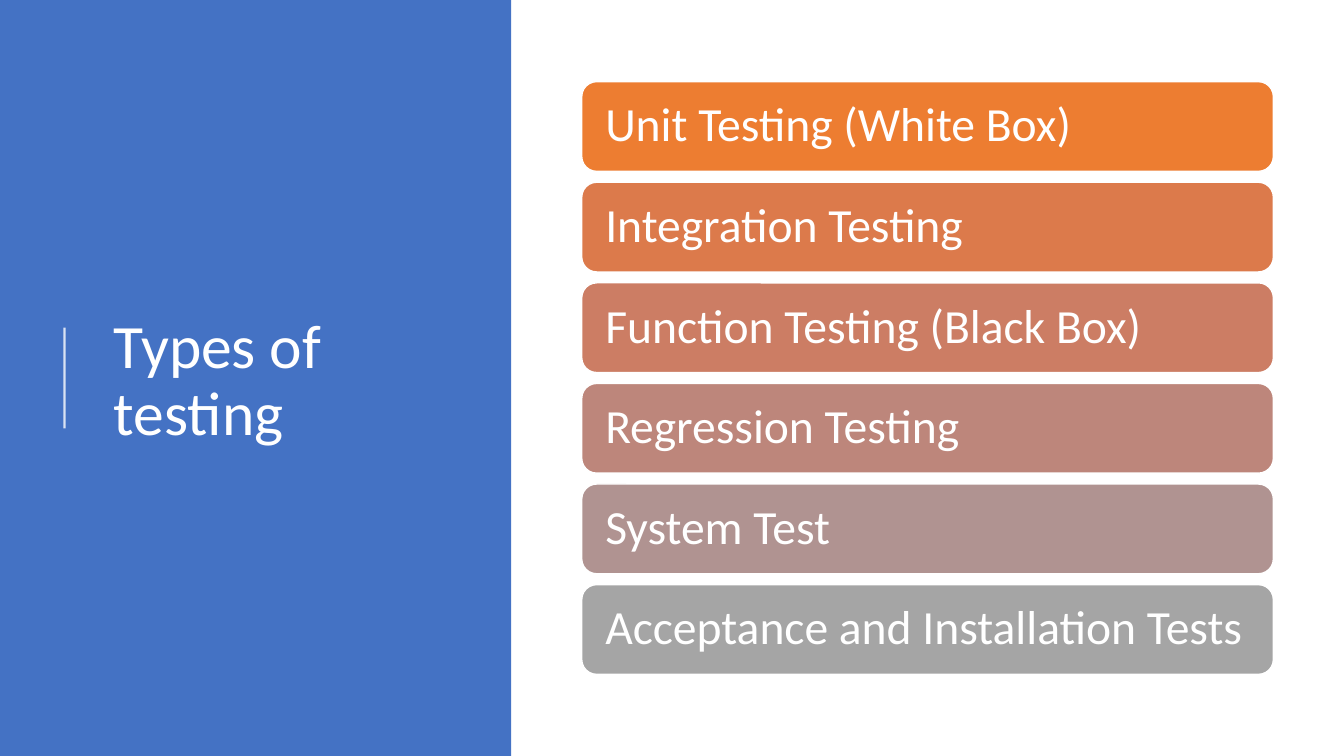
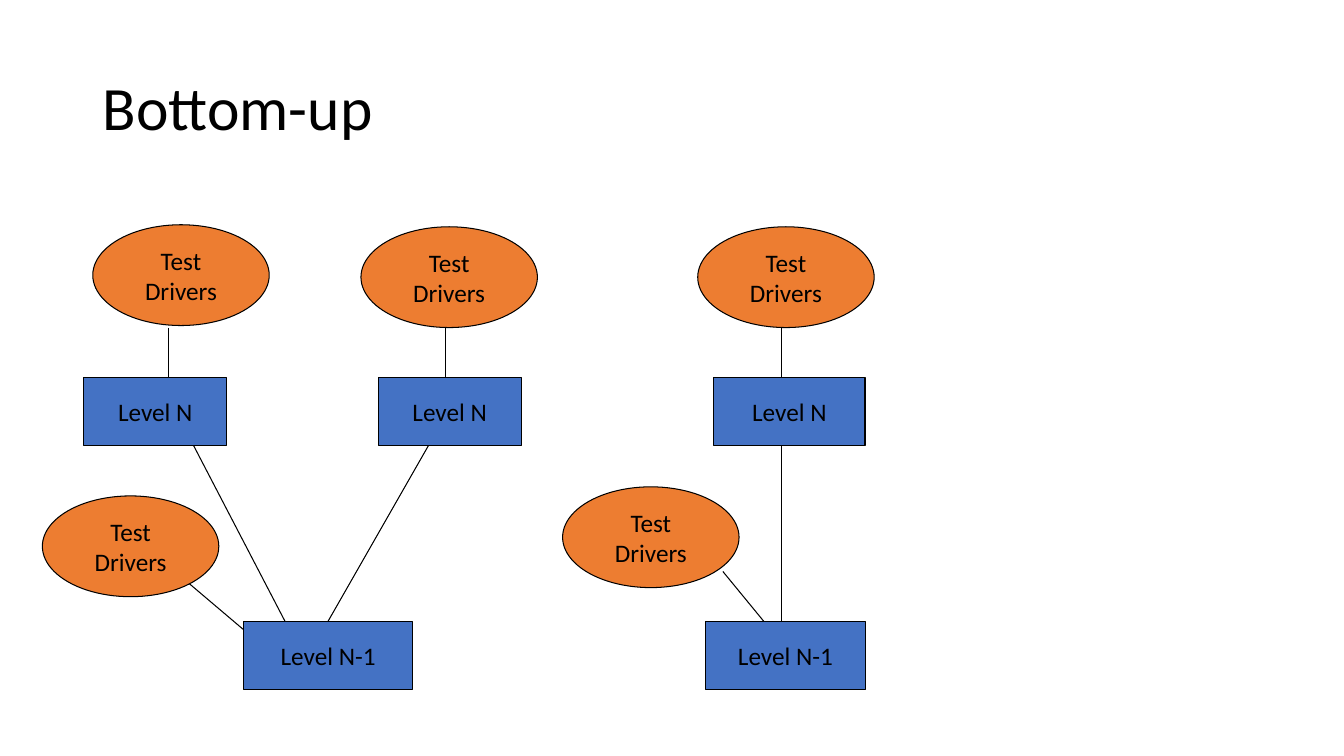
from lxml import etree
from pptx import Presentation
from pptx.dml.color import RGBColor
from pptx.enum.shapes import MSO_CONNECTOR, MSO_SHAPE
from pptx.enum.text import MSO_ANCHOR, MSO_AUTO_SIZE, PP_ALIGN
from pptx.oxml.ns import qn
from pptx.util import Inches, Pt

RECTANGLE = MSO_SHAPE.RECTANGLE
ROUNDED = MSO_SHAPE.ROUNDED_RECTANGLE
OVAL = MSO_SHAPE.OVAL
STRAIGHT = MSO_CONNECTOR.STRAIGHT
MIDDLE = MSO_ANCHOR.MIDDLE
NO_AUTOFIT = MSO_AUTO_SIZE.NONE
LEFT = PP_ALIGN.LEFT
CENTER = PP_ALIGN.CENTER

FONT = "Calibri"
TITLE_ONLY = 5
SLIDE_WIDTH, SLIDE_HEIGHT = 13.33, 7.5
COLORS = {
    "white": "FFFFFF",
    "black": "000000",
    "blue": "4472C4",
    "orange": "ED7D31",
}

TESTING_TYPES = [
    ("Unit Testing (White Box)", COLORS["orange"]),
    ("Integration Testing", "DC7A4B"),
    ("Function Testing (Black Box)", "CC7D64"),
    ("Regression Testing", "BD867B"),
    ("System Test", "B09391"),
    ("Acceptance and Installation Tests", "A5A5A5"),
]

LEVEL_HEIGHT = 0.67
LEVELS = [
    ("Level N", 0.83, 3.75, 1.42),
    ("Level N", 3.75, 3.75, 1.42),
    ("Level N", 7.08, 3.75, 1.5),
    ("Level N-1", 2.42, 6.17, 1.67),
    ("Level N-1", 7, 6.17, 1.58),
]
DRIVER_SIZE = (1.75, 1)
DRIVERS = [(0.92, 2.23), (3.58, 2.25), (6.92, 2.25), (0.42, 4.92), (5.58, 4.83)]
LINKS = [
    (1.67, 3.25, 1.67, 3.75),
    (4.42, 3.25, 4.42, 3.75),
    (7.75, 3.25, 7.75, 3.75),
    (7.75, 4.42, 7.75, 6.17),
    (7.17, 5.67, 7.58, 6.17),
    (1.92, 4.42, 2.83, 6.17),
    (4.25, 4.42, 3.25, 6.17),
    (1.83, 5.75, 2.42, 6.25),
]


def rgb(hex_color):
    return RGBColor.from_string(hex_color)


def write_text(shape, text, size=18, color=COLORS["black"], align=CENTER,
               spacing=1.0, inset=0.1, wrap=True):
    frame = shape.text_frame
    frame.text = text
    frame.auto_size = NO_AUTOFIT
    frame.word_wrap = wrap
    frame.vertical_anchor = MIDDLE
    frame.margin_left = frame.margin_right = Inches(inset)
    for paragraph in frame.paragraphs:
        paragraph.alignment = align
        paragraph.line_spacing = spacing
        paragraph.font.name = FONT
        paragraph.font.size = Pt(size)
        paragraph.font.color.rgb = rgb(color)


def add_box(slide, kind, box, fill, line=None, line_width=0.75):
    shape = slide.shapes.add_shape(kind, *map(Inches, box))
    shape.shadow.inherit = False
    shape.fill.solid()
    shape.fill.fore_color.rgb = rgb(fill)
    if line:
        shape.line.color.rgb = rgb(line)
        shape.line.width = Pt(line_width)
    else:
        shape.line.fill.background()
    return shape


def add_line(slide, ends, color=COLORS["black"], width=0.75, opacity=None):
    connector = slide.shapes.add_connector(STRAIGHT, *map(Inches, ends))
    connector.line.color.rgb = rgb(color)
    connector.line.width = Pt(width)
    properties = connector.element.spPr
    etree.SubElement(properties, qn("a:effectLst"))
    if opacity is not None:
        color_element = properties.find(".//" + qn("a:srgbClr"))
        etree.SubElement(color_element, qn("a:alpha"), val=str(opacity * 1000))


def set_title(slide, text, box, color):
    title = slide.shapes.title
    title.left, title.top, title.width, title.height = map(Inches, box)
    write_text(title, text, size=44, color=color, align=LEFT, spacing=0.9)


def add_title_panel(slide, text, box):
    left, top, width, height = box
    panel = add_box(slide, RECTANGLE, box, COLORS["blue"])
    slide.shapes.title.element.addprevious(panel.element)
    set_title(slide, text, (left + 1.03, top + 0.78, width - 1.38, 6.02),
              COLORS["white"])
    rule_x, middle = left + 0.64, top + height / 2
    add_line(slide, (rule_x, middle + 0.5, rule_x, middle - 0.5),
             COLORS["white"], width=1.5, opacity=80)


def add_bar_list(slide, items, box, bar_height=0.89):
    left, top, width, height = box
    pitch = (height - bar_height) / (len(items) - 1)
    for index, (text, fill) in enumerate(items):
        bar = add_box(slide, ROUNDED,
                      (left, top + index * pitch, width, bar_height),
                      fill, COLORS["white"], line_width=1)
        write_text(bar, text, size=34, color=COLORS["white"], align=LEFT,
                   spacing=0.9, inset=0.19)


def add_test_tree(slide, left, top):
    for x1, y1, x2, y2 in LINKS:
        add_line(slide, (left + x1, top + y1, left + x2, top + y2))
    nodes = [(RECTANGLE, text, (x, y, width, LEVEL_HEIGHT), COLORS["blue"])
             for text, x, y, width in LEVELS]
    nodes += [(OVAL, "Test\nDrivers", (x, y, *DRIVER_SIZE), COLORS["orange"])
              for x, y in DRIVERS]
    for kind, text, (x, y, width, height), fill in nodes:
        node = add_box(slide, kind, (left + x, top + y, width, height),
                       fill, COLORS["black"])
        write_text(node, text, wrap=False)


def add_slide(presentation):
    return presentation.slides.add_slide(presentation.slide_layouts[TITLE_ONLY])


def build_testing_types(presentation):
    slide = add_slide(presentation)
    add_title_panel(slide, "Types of testing", (0, 0, 5.07, SLIDE_HEIGHT))
    add_bar_list(slide, TESTING_TYPES, (5.77, 0.81, 6.86, 5.88))


def build_bottom_up(presentation):
    slide = add_slide(presentation)
    set_title(slide, "Bottom-up", (0.92, 0.37, 11.5, 1.45), COLORS["black"])
    add_test_tree(slide, 0, 0)


def main():
    presentation = Presentation()
    presentation.slide_width = Inches(SLIDE_WIDTH)
    presentation.slide_height = Inches(SLIDE_HEIGHT)
    build_testing_types(presentation)
    build_bottom_up(presentation)
    presentation.save("out.pptx")


if __name__ == "__main__":
    main()
